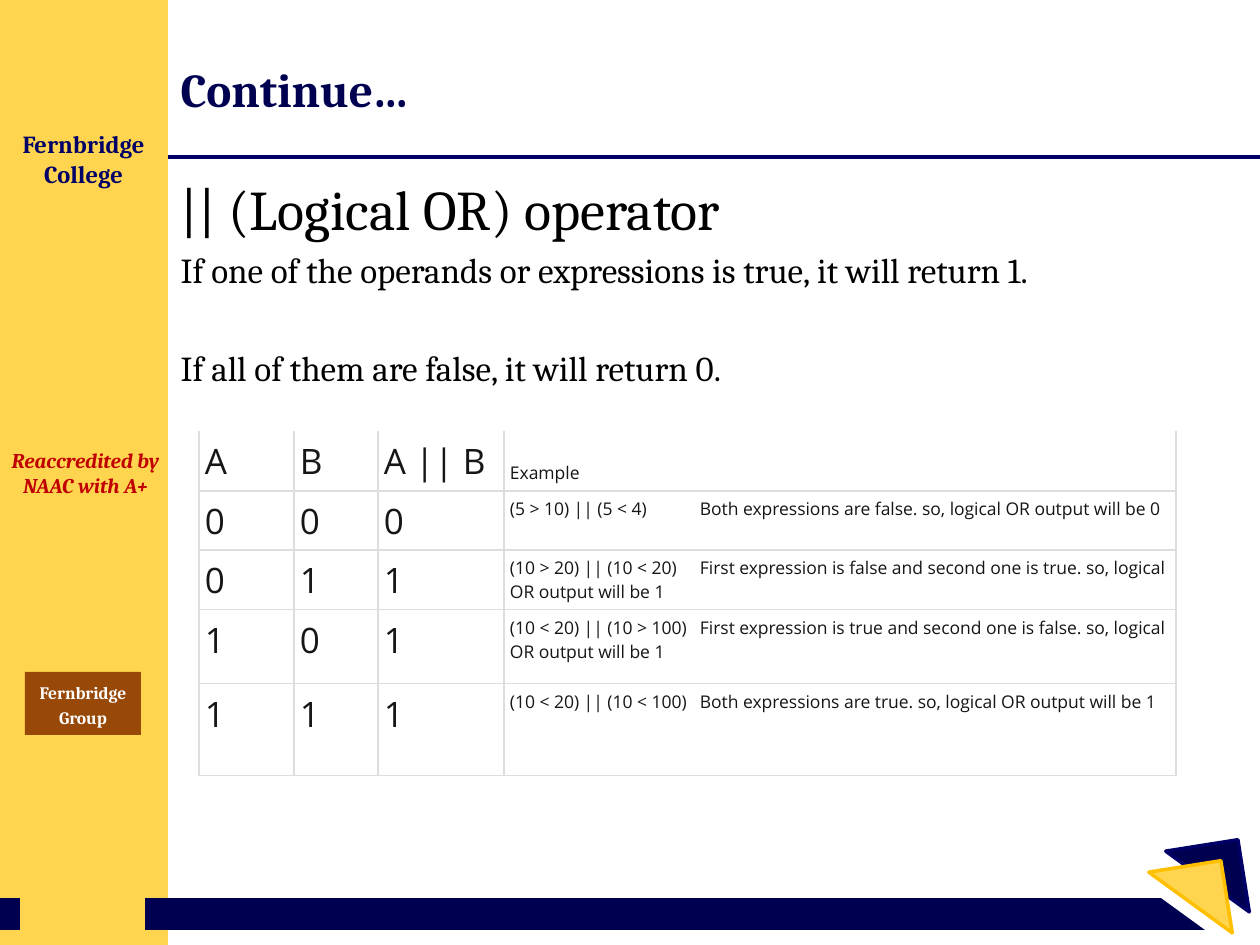
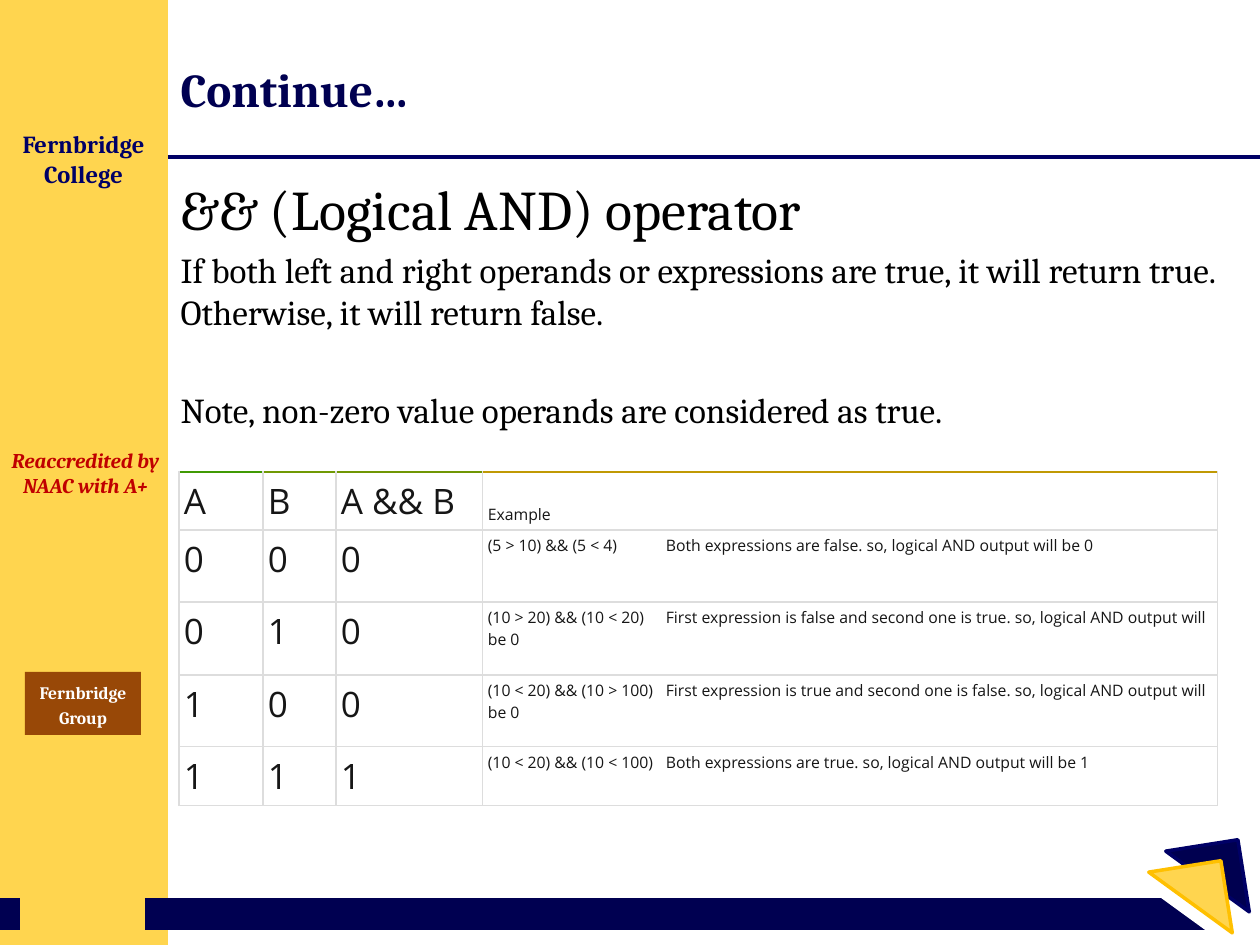
from dataclasses import dataclass
from typing import Callable, Optional

from lxml.etree import SubElement
from pptx import Presentation
from pptx.dml.color import RGBColor
from pptx.enum.shapes import MSO_CONNECTOR, MSO_SHAPE
from pptx.enum.text import MSO_ANCHOR, MSO_AUTO_SIZE, PP_ALIGN
from pptx.oxml import parse_xml
from pptx.oxml.ns import nsdecls, qn
from pptx.util import Emu, Pt

SLIDE_W, SLIDE_H = 1260, 945
EMU_PER_PX = 914400 / 126
SERIF, SANS = "Cambria", "Open Sans"
COLORS = {
    "white": "FFFFFF", "black": "000000", "ink": "161616",
    "yellow": "FFD54F", "amber": "FFC000", "brown": "984807", "red": "C00000",
    "navy": "000051", "navy_fill": "000050", "navy_line": "000066",
    "grid": "DDDDDD", "green": "409A04", "lime": "709904",
    "olive": "709604", "gold": "C09904",
}


@dataclass(frozen=True)
class Box:
    left: int
    top: int
    width: int
    height: int

    def emu(self) -> tuple:
        return tuple(px(n) for n in (self.left, self.top, self.width, self.height))


@dataclass(frozen=True)
class Rule:
    start: int
    end: int
    y: int
    color: str
    points: float


@dataclass(frozen=True)
class Triangle:
    left: int
    top: int
    fill: str
    line: str


@dataclass(frozen=True)
class Label:
    text: str
    box: Box
    size: int
    color: str
    italic: bool = False


@dataclass(frozen=True)
class Example:
    a: int
    b: int
    left: str
    right: str
    finding: str


@dataclass(frozen=True)
class Operator:
    symbol: str
    word: str
    combine: Callable[[int, int], int]
    statements: tuple
    origin: tuple
    columns: tuple
    rows: tuple
    inset: int
    example_size: int
    tab: int
    fill: Optional[str]
    top_borders: tuple


RULES = [
    Rule(145, 1218, 914, "navy", 18),
    Rule(0, 20, 914, "navy", 18),
    Rule(168, 1260, 157, "navy_line", 2.25),
]
TRIANGLE_SIDE = 73
TRIANGLES = [
    Triangle(1149, 877, "white", "white"),
    Triangle(1171, 845, "navy_fill", "navy_line"),
    Triangle(1154, 866, "yellow", "amber"),
]
LABELS = [
    Label("Reaccredited by NAAC with A+", Box(-6, 441, 183, 63), 12, "red", True),
    Label("Fernbridge College", Box(4, 123, 159, 72), 14, "navy_line"),
]
BADGE = Box(25, 672, 116, 63)
SIDEBAR = Box(0, 0, 168, SLIDE_H)
TITLE = Box(168, 31, 1061, 116)
BODY = Box(168, 168, 1061, 724)

EXAMPLES = [
    Example(0, 0, "5 > 10", "5 < 4", "Both expressions are false"),
    Example(0, 1, "10 > 20", "10 < 20", "First expression is false and second one is true"),
    Example(1, 0, "10 < 20", "10 > 100", "First expression is true and second one is false"),
    Example(1, 1, "10 < 20", "10 < 100", "Both expressions are true"),
]
OPERATORS = [
    Operator(
        "||", "OR", lambda a, b: a | b,
        ("If one of the operands or expressions is true, it will return 1.",
         "If all of them are false, it will return 0."),
        (199, 431), (95, 84, 126, 672), (60, 59, 60, 74, 92),
        6, 10, 190, None, (None,) * 4),
    Operator(
        "&&", "AND", lambda a, b: a & b,
        ("If both left and right operands or expressions are true, it will return true. "
         "Otherwise, it will return false.",
         "Note, non-zero value operands are considered as true."),
        (179, 472), (84, 73, 147, 735), (58, 72, 73, 72, 59),
        5, 9, 178, "white", ("green", "lime", "olive", "gold")),
]


def px(length: int) -> Emu:
    return Emu(round(length * EMU_PER_PX))


def rgb(name: str) -> RGBColor:
    return RGBColor.from_string(COLORS[name])


def write(paragraph, text: str, *, size: int, color: str, font: str = SERIF,
          bold: bool = False, italic: bool = False, align=PP_ALIGN.LEFT,
          line_spacing=None, space_before=None) -> None:
    paragraph.alignment = align
    if line_spacing is not None:
        paragraph.line_spacing = line_spacing
    if space_before is not None:
        paragraph.space_before = Pt(space_before)
    run = paragraph.add_run()
    run.text = text
    run.font.name = font
    run.font.size = Pt(size)
    run.font.bold = bold
    run.font.italic = italic
    run.font.color.rgb = rgb(color)


def place(shape, box: Box) -> None:
    shape.left, shape.top, shape.width, shape.height = box.emu()


def add_filled(slide, preset, box: Box, fill: str, line: Optional[str] = None):
    shape = slide.shapes.add_shape(preset, *box.emu())
    shape.shadow.inherit = False
    shape.fill.solid()
    shape.fill.fore_color.rgb = rgb(fill)
    if line:
        shape.line.color.rgb = rgb(line)
        shape.line.width = Pt(2)
    else:
        shape.line.fill.background()
    return shape


def add_rule(slide, rule: Rule) -> None:
    connector = slide.shapes.add_connector(
        MSO_CONNECTOR.STRAIGHT, px(rule.start), px(rule.y), px(rule.end), px(rule.y))
    connector.line.color.rgb = rgb(rule.color)
    connector.line.width = Pt(rule.points)
    SubElement(connector.element.spPr, qn("a:effectLst"))


def add_triangle(slide, triangle: Triangle) -> None:
    box = Box(triangle.left, triangle.top, TRIANGLE_SIDE, TRIANGLE_SIDE)
    shape = add_filled(slide, MSO_SHAPE.ISOSCELES_TRIANGLE, box, triangle.fill, triangle.line)
    shape.adjustments[0] = 0
    shape.rotation = 171


def add_label(slide, label: Label) -> None:
    frame = slide.shapes.add_textbox(*label.box.emu()).text_frame
    frame.word_wrap = True
    frame.auto_size = MSO_AUTO_SIZE.SHAPE_TO_FIT_TEXT
    write(frame.paragraphs[0], label.text, size=label.size, color=label.color,
          bold=True, italic=label.italic, align=PP_ALIGN.CENTER)


def add_frame(slide) -> None:
    """Draw the side band, rules, corner triangles and college labels."""
    add_filled(slide, MSO_SHAPE.RECTANGLE, SIDEBAR, "yellow")
    for rule in RULES:
        add_rule(slide, rule)
    for triangle in TRIANGLES:
        add_triangle(slide, triangle)
    for label in LABELS:
        add_label(slide, label)
    badge = add_filled(slide, MSO_SHAPE.RECTANGLE, BADGE, "brown").text_frame
    badge.word_wrap = True
    badge.vertical_anchor = MSO_ANCHOR.MIDDLE
    write(badge.paragraphs[0], "Fernbridge Group", size=10, color="white",
          bold=True, align=PP_ALIGN.CENTER, line_spacing=1.15)


def fill_title(slide) -> None:
    title = slide.shapes.title
    place(title, TITLE)
    title.text_frame.auto_size = MSO_AUTO_SIZE.NONE
    title.text_frame.vertical_anchor = MSO_ANCHOR.MIDDLE
    write(title.text_frame.paragraphs[0], "Continue…", size=27, color="navy", bold=True)


def fill_body(slide, operator: Operator) -> None:
    body = slide.placeholders[1]
    place(body, BODY)
    frame = body.text_frame
    frame.auto_size = MSO_AUTO_SIZE.NONE
    rule_text, remark = operator.statements
    heading = f"{operator.symbol} (Logical {operator.word}) operator"
    lines = [(heading, 32, None), (rule_text, 20, None), (remark, 20, 32)]
    for index, (text, size, gap) in enumerate(lines):
        paragraph = frame.add_paragraph() if index else frame.paragraphs[0]
        write(paragraph, text, size=size, color="black", space_before=gap)
        properties = paragraph._p.get_or_add_pPr()
        properties.set("marL", "0")
        properties.set("indent", "0")
        SubElement(properties, qn("a:buNone"))


def set_borders(cell, top: Optional[str]) -> None:
    properties = cell._tc.get_or_add_tcPr()
    sides = {"lnL": "grid", "lnR": "grid", "lnT": top, "lnB": "grid"}
    for index, (side, color) in enumerate(sides.items()):
        paint = (f'<a:solidFill><a:srgbClr val="{COLORS[color]}"/></a:solidFill>'
                 if color else "<a:noFill/>")
        border = f'<a:{side} {nsdecls("a")} w="{Pt(0.75)}">{paint}</a:{side}>'
        properties.insert(index, parse_xml(border))


def set_tab(paragraph, position: int) -> None:
    tabs = SubElement(paragraph._p.get_or_add_pPr(), qn("a:tabLst"))
    SubElement(tabs, qn("a:tab"), pos=str(px(position)), algn="l")


def truth_rows(operator: Operator) -> list:
    rows = [("A", "B", f"A {operator.symbol} B", "Example")]
    for example in EXAMPLES:
        output = operator.combine(example.a, example.b)
        rows.append((
            str(example.a), str(example.b), str(output),
            f"({example.left}) {operator.symbol} ({example.right})\t{example.finding}. "
            f"so, logical {operator.word} output will be {output}"))
    return rows


def add_truth_table(slide, operator: Operator) -> None:
    box = Box(*operator.origin, sum(operator.columns), sum(operator.rows))
    table = slide.shapes.add_table(
        len(operator.rows), len(operator.columns), *box.emu()).table
    table.first_row = table.horz_banding = False
    for column, width in zip(table.columns, operator.columns):
        column.width = px(width)
    for row, height in zip(table.rows, operator.rows):
        row.height = px(height)
    for r, texts in enumerate(truth_rows(operator)):
        for c, text in enumerate(texts):
            cell = table.cell(r, c)
            cell.margin_left = cell.margin_right = px(operator.inset)
            cell.margin_top = cell.margin_bottom = px(operator.inset)
            cell.vertical_anchor = MSO_ANCHOR.TOP if r else MSO_ANCHOR.BOTTOM
            if operator.fill:
                cell.fill.solid()
                cell.fill.fore_color.rgb = rgb(operator.fill)
            else:
                cell.fill.background()
            set_borders(cell, "grid" if r else operator.top_borders[c])
            paragraph = cell.text_frame.paragraphs[0]
            write(paragraph, text, size=operator.example_size if c == 3 else 20,
                  color="ink", font=SANS)
            if "\t" in text:
                set_tab(paragraph, operator.tab)


def main() -> None:
    deck = Presentation()
    deck.slide_width, deck.slide_height = px(SLIDE_W), px(SLIDE_H)
    for operator in OPERATORS:
        slide = deck.slides.add_slide(deck.slide_layouts[1])
        add_frame(slide)
        fill_title(slide)
        fill_body(slide, operator)
        add_truth_table(slide, operator)
    deck.save("out.pptx")


if __name__ == "__main__":
    main()
